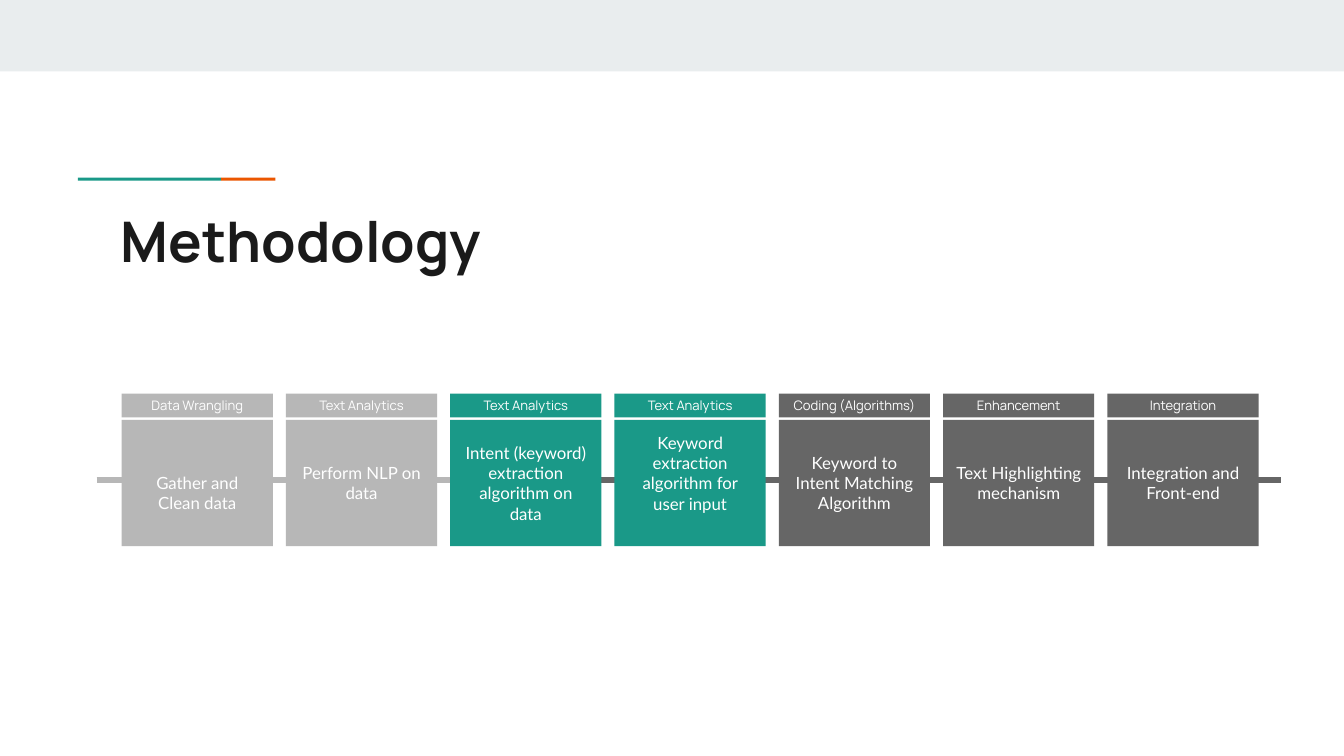
from dataclasses import dataclass

from lxml import etree
from pptx import Presentation
from pptx.dml.color import RGBColor
from pptx.enum.shapes import MSO_CONNECTOR, MSO_SHAPE
from pptx.enum.text import MSO_ANCHOR, PP_ALIGN
from pptx.oxml.ns import qn
from pptx.util import Inches, Pt

RECTANGLE = MSO_SHAPE.RECTANGLE
STRAIGHT = MSO_CONNECTOR.STRAIGHT
TOP, MIDDLE = MSO_ANCHOR.TOP, MSO_ANCHOR.MIDDLE
LEFT, CENTER = PP_ALIGN.LEFT, PP_ALIGN.CENTER

SLIDE_WIDTH, SLIDE_HEIGHT = Inches(10), Inches(5.625)
INSET = Inches(0.1)
BODY_LINE = Pt(10.8)


@dataclass(frozen=True)
class Theme:
    band: str = "E9EDEE"
    ink: str = "1A1A1A"
    paper: str = "FFFFFF"
    done: str = "B7B7B7"
    current: str = "1A9988"
    planned: str = "666666"
    accent: str = "EB5600"
    heading_font: str = "Manrope"
    body_font: str = "Lato"
    title_size: int = 30
    body_size: int = 9
    label_size: int = 7
    track_width: int = 3


THEME = Theme()

GRID_LEFT, GRID_RIGHT = 9.05, 93.65
CARD_WIDTH = 11.25
LABEL_ROW = (52.09, 3.15)
BODY_ROW = (55.55, 16.7)
TRACK_Y = 63.47

STAGES = [
    ("Data Wrangling", "Gather and Clean data", THEME.done, {"margin_top": INSET + BODY_LINE}),
    ("Text Analytics", "Perform NLP on data", THEME.done, {}),
    ("Text Analytics", "Intent (keyword) extraction algorithm on data", THEME.current, {}),
    ("Text Analytics", "Keyword extraction algorithm for user input", THEME.current,
     {"margin_bottom": INSET + BODY_LINE}),
    ("Coding (Algorithms)", "Keyword to Intent Matching Algorithm", THEME.planned, {}),
    ("Enhancement", "Text Highlighting mechanism", THEME.planned, {}),
    ("Integration", "Integration and Front-end", THEME.planned, {}),
]


def across(percent):
    return round(SLIDE_WIDTH * percent / 100)


def down(percent):
    return round(SLIDE_HEIGHT * percent / 100)


def area(left, top, width, height):
    return across(left), down(top), across(width), down(height)


def apply(target, formats):
    for attribute, value in formats.items():
        setattr(target, attribute, value)


def write(frame, text, font, color, align, layout):
    margins = dict.fromkeys(("margin_left", "margin_top", "margin_right", "margin_bottom"), INSET)
    apply(frame, {"word_wrap": True, **margins, **layout})
    paragraph = frame.paragraphs[0]
    paragraph.alignment = align
    run = paragraph.add_run()
    run.text = text
    apply(run.font, font)
    run.font.color.rgb = RGBColor.from_string(color)


def add_block(slide, place, color):
    block = slide.shapes.add_shape(RECTANGLE, *area(*place))
    block.shadow.inherit = False
    block.fill.solid()
    block.fill.fore_color.rgb = RGBColor.from_string(color)
    block.line.fill.background()
    return block


def add_track(slide, start, end, color):
    track = slide.shapes.add_connector(
        STRAIGHT, across(start), down(TRACK_Y), across(end), down(TRACK_Y))
    track.line.color.rgb = RGBColor.from_string(color)
    track.line.width = Pt(THEME.track_width)
    etree.SubElement(track._element.spPr, qn("a:effectLst"))


def add_title(slide, text):
    title = slide.shapes.add_textbox(*area(8, 25.6, 84.1, 10.5))
    font = {"name": THEME.heading_font, "size": Pt(THEME.title_size), "bold": True}
    write(title.text_frame, text, font, THEME.ink, LEFT, {"vertical_anchor": TOP})


def add_stage(slide, column, label, task, color, task_layout):
    pitch = (GRID_RIGHT - GRID_LEFT - CARD_WIDTH) / (len(STAGES) - 1)
    left = GRID_LEFT + column * pitch
    parts = [
        (BODY_ROW, task, THEME.body_font, THEME.body_size, task_layout),
        (LABEL_ROW, label, THEME.heading_font, THEME.label_size, {}),
    ]
    for (top, height), text, typeface, size, layout in parts:
        block = add_block(slide, (left, top, CARD_WIDTH, height), color)
        font = {"name": typeface, "size": Pt(size)}
        write(block.text_frame, text, font, THEME.paper, CENTER,
              {"vertical_anchor": MIDDLE, **layout})


def main():
    deck = Presentation()
    apply(deck, {"slide_width": SLIDE_WIDTH, "slide_height": SLIDE_HEIGHT})
    slide = deck.slides.add_slide(deck.slide_layouts[6])

    add_block(slide, (0, 0, 100, 9.45), THEME.band)
    add_block(slide, (5.8, 23.5, 10.65, 0.4), THEME.current)
    add_block(slide, (16.45, 23.5, 4.05, 0.4), THEME.accent)
    add_track(slide, 44.5, 95.3, THEME.planned)
    add_track(slide, 7.2, 42.4, THEME.done)
    add_title(slide, "Methodology")
    for column, stage in enumerate(STAGES):
        add_stage(slide, column, *stage)

    deck.save("out.pptx")


if __name__ == "__main__":
    main()
